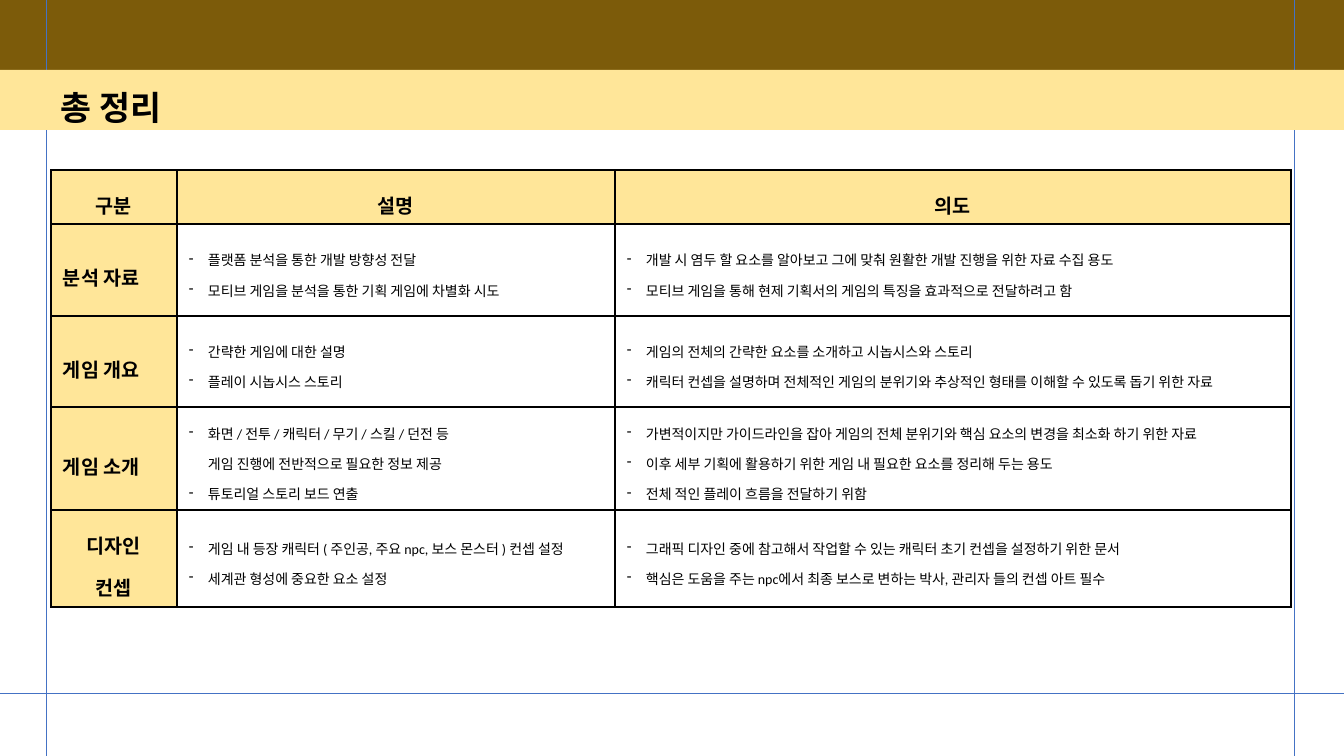
from copy import deepcopy
from dataclasses import dataclass

from lxml.etree import SubElement
from pptx import Presentation
from pptx.dml.color import RGBColor
from pptx.enum.shapes import MSO_CONNECTOR, MSO_SHAPE
from pptx.enum.text import MSO_ANCHOR, PP_ALIGN
from pptx.oxml.ns import qn
from pptx.util import Emu, Pt

SCALE = 914400 / 100.8
WIDE, HIGH = 1344, 756
FONT = "Calibri"
COLORS = {
    "brown": "7C5B0A",
    "cream": "FFE699",
    "blue": "4472C4",
    "black": "000000",
    "white": "FFFFFF",
}


@dataclass
class Band:
    top: int
    high: int
    color: str


@dataclass
class Guide:
    x1: int
    y1: int
    x2: int
    y2: int


@dataclass
class Topic:
    name: str
    high: int
    about: list[str]
    aim: list[str]
    center: bool = False


BANDS = [Band(0, 71, "brown"), Band(70, 60, "cream")]
# The side guides pass behind the cream band
GUIDES = [Guide(x, 0, x, HIGH) for x in (46, 1294)] + [Guide(0, 693, WIDE, 693)]
HEADS = ["구분", "설명", "의도"]
COLS = [126, 438, 676]
HEAD_HIGH = 54
TOPICS = [
    Topic(
        "분석 자료", 92,
        ["플랫폼 분석을 통한 개발 방향성 전달",
         "모티브 게임을 분석을 통한 기획 게임에 차별화 시도"],
        ["개발 시 염두 할 요소를 알아보고 그에 맞춰 원활한 개발 진행을 위한 자료 수집 용도",
         "모티브 게임을 통해 현제 기획서의 게임의 특징을 효과적으로 전달하려고 함"],
    ),
    Topic(
        "게임 개요", 91,
        ["간략한 게임에 대한 설명", "플레이 시놉시스 스토리"],
        ["게임의 전체의 간략한 요소를 소개하고 시놉시스와 스토리",
         "캐릭터 컨셉을 설명하며 전체적인 게임의 분위기와 추상적인 형태를 이해할 수 있도록 돕기 위한 자료"],
    ),
    Topic(
        "게임 소개", 103,
        ["화면 / 전투 / 캐릭터 / 무기 / 스킬 / 던전 등\n게임 진행에 전반적으로 필요한 정보 제공",
         "튜토리얼 스토리 보드 연출"],
        ["가변적이지만 가이드라인을 잡아 게임의 전체 분위기와 핵심 요소의 변경을 최소화 하기 위한 자료",
         "이후 세부 기획에 활용하기 위한 게임 내 필요한 요소를 정리해 두는 용도",
         "전체 적인 플레이 흐름을 전달하기 위함"],
    ),
    Topic(
        "디자인\n컨셉", 97,
        ["게임 내 등장 캐릭터 ( 주인공, 주요 npc, 보스 몬스터 ) 컨셉 설정",
         "세계관 형성에 중요한 요소 설정"],
        ["그래픽 디자인 중에 참고해서 작업할 수 있는 캐릭터 초기 컨셉을 설정하기 위한 문서",
         "핵심은 도움을 주는 npc에서 최종 보스로 변하는 박사, 관리자 들의 컨셉 아트 필수"],
        center=True,
    ),
]


def px(n: int) -> Emu:
    return Emu(round(n * SCALE))


def rgb(name: str) -> RGBColor:
    return RGBColor.from_string(COLORS[name])


def write(frame, lines: list[str], *, size: int = 14, bold: bool = True,
          center: bool = False, dash: bool = False) -> None:
    for i, line in enumerate(lines):
        para = frame.paragraphs[0] if i == 0 else frame.add_paragraph()
        para.text = line
        para.line_spacing = 1.5
        para.alignment = PP_ALIGN.CENTER if center else PP_ALIGN.LEFT
        if dash:
            props = para._p.get_or_add_pPr()
            props.set("marL", str(px(19)))
            props.set("indent", str(-px(19)))
            SubElement(props, qn("a:buChar")).set("char", "-")
        for run in para.runs:
            run.font.name = FONT
            run.font.size = Pt(size)
            run.font.bold = bold
            run.font.color.rgb = rgb("black")
        # Line breaks take the format of the text
        for gap in para._p.findall(qn("a:br")):
            gap.append(deepcopy(para.runs[0]._r.rPr))


def add_band(slide, band: Band) -> None:
    shape = slide.shapes.add_shape(
        MSO_SHAPE.RECTANGLE, 0, px(band.top), px(WIDE), px(band.high))
    shape.shadow.inherit = False
    shape.fill.solid()
    shape.fill.fore_color.rgb = rgb(band.color)
    shape.line.fill.background()


def add_guide(slide, guide: Guide) -> None:
    line = slide.shapes.add_connector(
        MSO_CONNECTOR.STRAIGHT,
        px(guide.x1), px(guide.y1), px(guide.x2), px(guide.y2))
    line.line.color.rgb = rgb("blue")
    line.line.width = Pt(0.5)
    SubElement(line._element.spPr, qn("a:effectLst"))


def style(cell, color: str) -> None:
    cell.margin_left = cell.margin_right = px(12)
    cell.margin_top = cell.margin_bottom = px(6)
    cell.vertical_anchor = MSO_ANCHOR.MIDDLE
    props = cell._tc.get_or_add_tcPr()
    for side in ("L", "R", "T", "B"):
        edge = SubElement(props, qn(f"a:ln{side}"), w=str(Pt(1)))
        fill = SubElement(edge, qn("a:solidFill"))
        SubElement(fill, qn("a:srgbClr"), val=COLORS["black"])
    cell.fill.solid()
    cell.fill.fore_color.rgb = rgb(color)


def add_grid(slide) -> None:
    highs = [HEAD_HIGH] + [topic.high for topic in TOPICS]
    table = slide.shapes.add_table(
        len(highs), len(COLS),
        px(51), px(170), px(sum(COLS)), px(sum(highs))).table
    table.first_row = table.horz_banding = False
    for col, wide in zip(table.columns, COLS):
        col.width = px(wide)
    for r, (row, high) in enumerate(zip(table.rows, highs)):
        row.height = px(high)
        for c, cell in enumerate(row.cells):
            style(cell, "white" if r and c else "cream")

    for c, head in enumerate(HEADS):
        write(table.cell(0, c).text_frame, [head], center=True)
    for r, topic in enumerate(TOPICS, 1):
        write(table.cell(r, 0).text_frame, [topic.name], center=topic.center)
        for c, lines in enumerate((topic.about, topic.aim), 1):
            write(table.cell(r, c).text_frame, lines,
                  size=10, bold=False, dash=True)


def main() -> None:
    deck = Presentation()
    deck.slide_width, deck.slide_height = px(WIDE), px(HIGH)
    slide = deck.slides.add_slide(deck.slide_layouts[6])

    # Backdrop
    top, strip = BANDS
    add_band(slide, top)
    for guide in GUIDES:
        add_guide(slide, guide)
    add_band(slide, strip)

    # Title
    box = slide.shapes.add_textbox(px(51), px(71), px(1159), px(52))
    box.text_frame.word_wrap = True
    box.text_frame.vertical_anchor = MSO_ANCHOR.MIDDLE
    write(box.text_frame, ["총 정리"], size=24)

    # Summary table
    add_grid(slide)
    deck.save("out.pptx")


if __name__ == "__main__":
    main()
